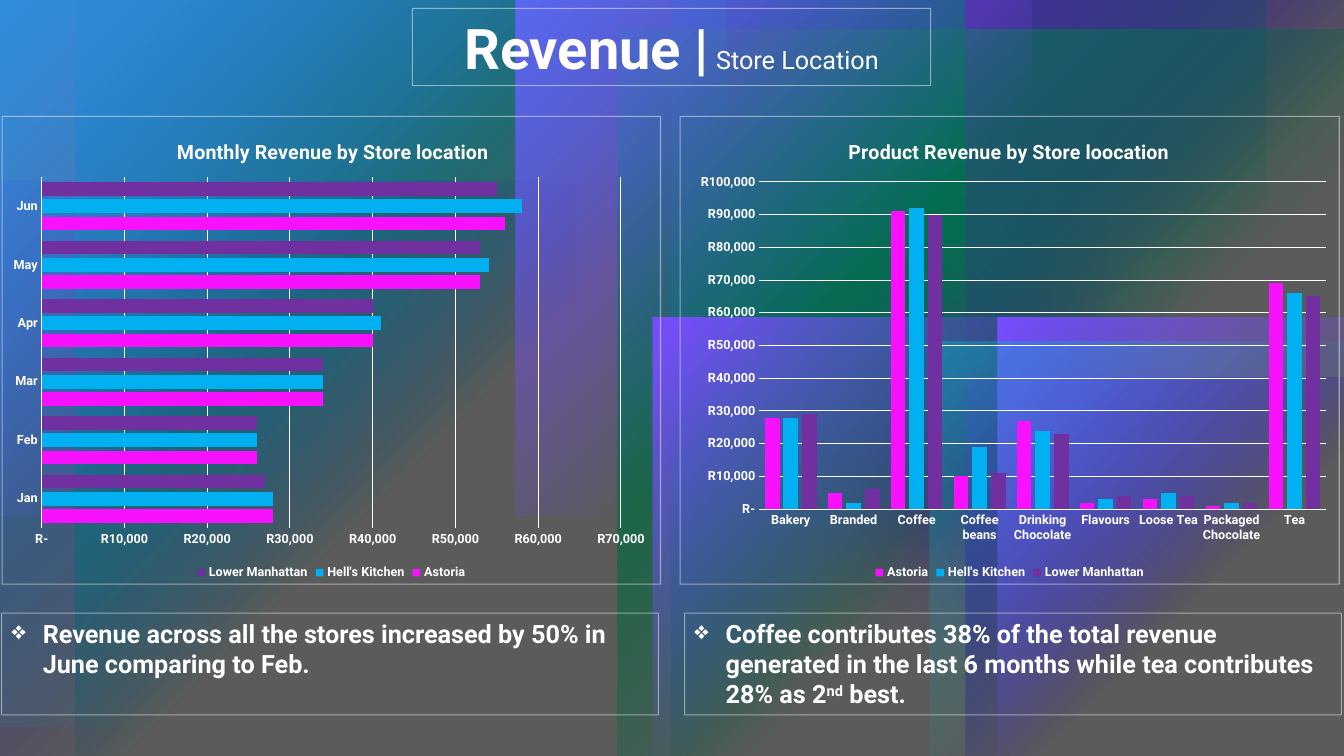
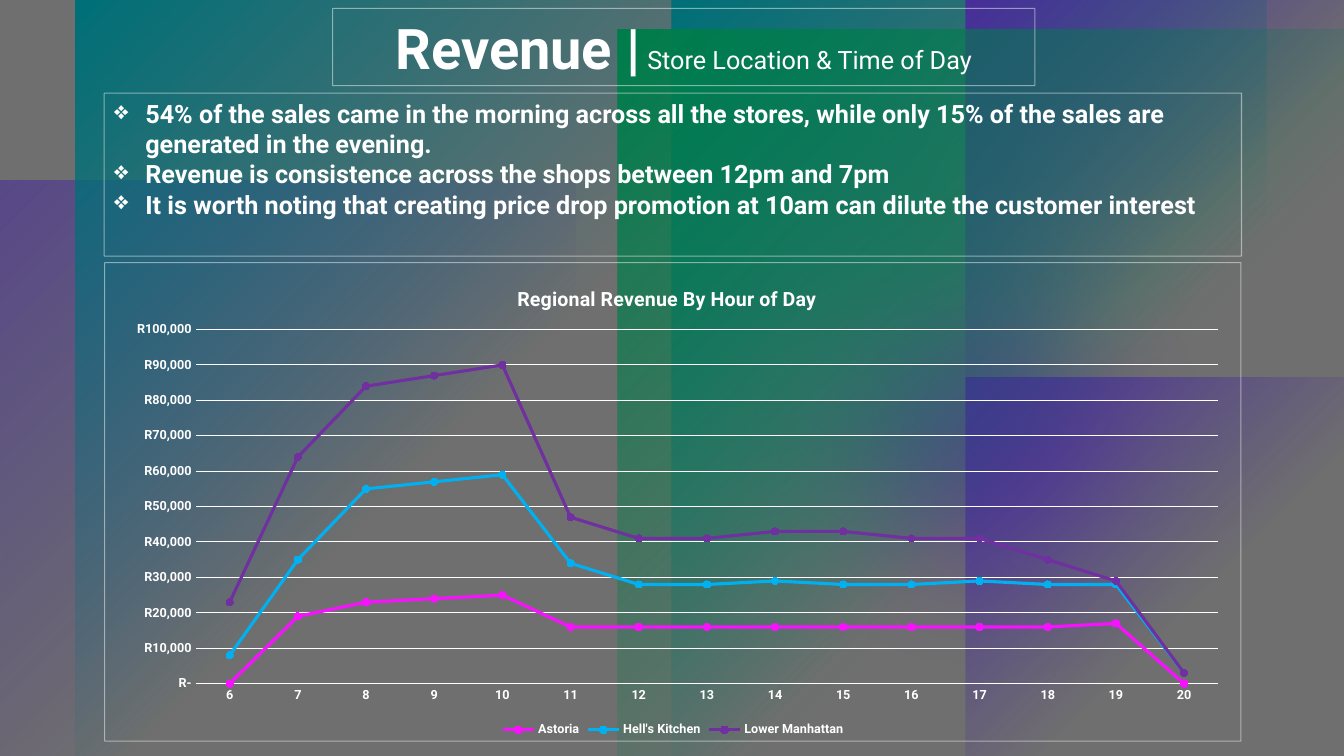
"""Build two store revenue slides with charts on a layered gradient backdrop."""
from dataclasses import dataclass

from pptx import Presentation
from pptx.chart.data import CategoryChartData as ChartData
from pptx.dml.color import RGBColor as RGB
from pptx.enum.chart import (
    XL_CHART_TYPE as CT, XL_LEGEND_POSITION as LEGEND,
    XL_MARKER_STYLE as MARKER, XL_TICK_MARK as TICK)
from pptx.enum.shapes import MSO_SHAPE as SHAPE
from pptx.enum.text import MSO_ANCHOR as ANCHOR, MSO_AUTO_SIZE as FIT, PP_ALIGN as ALIGN
from pptx.oxml import parse_xml
from pptx.oxml.ns import nsdecls, qn
from pptx.util import Inches, Pt

COLS, ROWS = 160, 90
STORES = ("Astoria", "Hell's Kitchen", "Lower Manhattan")


@dataclass(frozen=True)
class Theme:
    font: str = "Roboto"
    white: str = "FFFFFF"
    black: str = "000000"
    grey: str = "BABABA"
    violet: str = "794DFF"
    green: str = "00D17D"
    teal: str = "00BAC8"
    stores: tuple = ("F711FF", "00B0F0", "7030A0")
    heading: int = 40
    gap: int = 20
    body: int = 18
    chart_title: int = 14
    label: int = 9
    hairline: float = 0.75
    series_line: float = 2.25
    frame_alpha: int = 47
    money: str = '"R"#,##0;("R"#,##0);"R-"'


class Deck:
    """Hold the style and the current slide, and draw each kind of element."""

    def __init__(self, theme):
        self.t = theme
        self.prs = Presentation()
        self.prs.slide_width, self.prs.slide_height = Inches(13.333), Inches(7.5)
        self.slide = None

    def paint(self, fill, color):
        fill.solid()
        fill.fore_color.rgb = RGB.from_string(color)

    def add_slide(self, background):
        self.slide = self.prs.slides.add_slide(self.prs.slide_layouts[5])
        self.paint(self.slide.background.fill, background)

    def box(self, x, y, w, h):
        col, row = self.prs.slide_width / COLS, self.prs.slide_height / ROWS
        return [round(v) for v in (x * col, y * row, w * col, h * row)]

    def fade(self, element, percent):
        for color in element.iter(qn("a:srgbClr")):
            color.append(parse_xml(f'<a:alpha {nsdecls("a")} val="{percent * 1000}"/>'))

    def tint(self, kind, box, color, alpha):
        s = self.slide.shapes.add_shape(kind, *self.box(*box))
        s.shadow.inherit = False
        s.line.fill.background()
        self.paint(s.fill, color)
        self.fade(s.element.spPr, alpha)
        return s

    def glow(self, box, color, alpha=100):
        s = self.tint(SHAPE.RECTANGLE, box, color, alpha)
        stops = "".join(
            f'<a:gs pos="{pos}"><a:srgbClr val="{color}"><a:alpha val="{a * 1000}"/>'
            "</a:srgbClr></a:gs>" for pos, a in ((0, alpha), (60000, 0)))
        pr = s.element.spPr
        pr.replace(pr.find(qn("a:solidFill")), parse_xml(
            f'<a:gradFill {nsdecls("a")}><a:gsLst>{stops}</a:gsLst><a:path path="circle">'
            '<a:fillToRect r="100000" b="100000"/></a:path>'
            '<a:tileRect l="-100000" t="-100000"/></a:gradFill>'))
        return s

    def halo(self, box, color, alpha):
        s = self.tint(SHAPE.OVAL, box, color, alpha)
        s.element.spPr.find(qn("a:effectLst")).append(
            parse_xml(f'<a:softEdge {nsdecls("a")} rad="{Inches(1.39)}"/>'))
        return s

    def backdrop(self):
        t = self.t
        return [
            self.glow((0, 21.5, 68.5, 68.5), t.violet, 60),
            self.halo((83.75, 0, 56.65, 56.65), t.green, 96),
            self.halo((80.3, 16.2, 72.25, 72.25), t.violet, 60),
            *[self.glow((x, 0, 70.9, ROWS), t.teal) for x in (79.9, 9)],
            *[self.glow((115, y, 45, 45), t.violet) for y in (45, 0)],
            self.glow((73.5, 3.5, 86.5, 86.5), t.green),
            self.tint(SHAPE.RECTANGLE, (0, 0, COLS, ROWS), t.black, 40),
        ]

    def share_backdrop(self):
        tree = self.prs.slide_master.shapes.element
        for i, s in enumerate(self.backdrop()):
            tree.insert(2 + i, s.element)

    def frame(self, s):
        s.line.color.rgb = RGB.from_string(self.t.white)
        s.line.width = Pt(self.t.hairline)
        self.fade(s.element.spPr.find(qn("a:ln")), self.t.frame_alpha)

    def style(self, font, size, bold=True):
        font.name, font.size, font.bold = self.t.font, Pt(size), bold
        font.color.rgb = RGB.from_string(self.t.white)

    def title(self, heading, detail, box):
        s = self.slide.shapes.title
        self.slide.shapes.element.append(s.element)
        s.left, s.top, s.width, s.height = self.box(*box)
        self.frame(s)
        tf = s.text_frame
        tf.auto_size, tf.vertical_anchor = FIT.NONE, ANCHOR.MIDDLE
        p = tf.paragraphs[0]
        p.alignment, p.line_spacing = ALIGN.CENTER, 1.0
        for text, size in ((heading, self.t.heading), (" ", self.t.gap), (detail, self.t.body)):
            r = p.add_run()
            r.text = text
            self.style(r.font, size, text == heading)

    def notes(self, items, box):
        s = self.slide.shapes.add_textbox(*self.box(*box))
        self.frame(s)
        tf = s.text_frame
        tf.word_wrap = True
        indent = Inches(0.31)
        for i, item in enumerate(items):
            p = tf.add_paragraph() if i else tf.paragraphs[0]
            pr = p._p.get_or_add_pPr()
            pr.set("marL", str(indent))
            pr.set("indent", str(-indent))
            pr.append(parse_xml(f'<a:buChar {nsdecls("a")} char="❖"/>'))
            for j, text in enumerate(item):
                r = p.add_run()
                r.text = text
                self.style(r.font, self.t.body)
                if j == 1:
                    r.font._element.set("baseline", "30000")

    def place(self, parent, index, target="", **shares):
        modes = "".join(f'<c:{k}Mode val="edge"/>' for k in "xy")
        sizes = "".join(f'<c:{k} val="{v}"/>' for k, v in shares.items())
        for old in parent.findall(qn("c:layout")):
            parent.remove(old)
        parent.insert(index, parse_xml(
            f'<c:layout {nsdecls("c")}><c:manualLayout>{target}{modes}{sizes}'
            "</c:manualLayout></c:layout>"))

    def chart(self, kind, title, cats, rows, box, top, title_x, plot):
        t = self.t
        data = ChartData(number_format=t.money)
        data.categories = cats
        for name, row in zip(STORES, rows):
            data.add_series(name, [v if v is None else v * 1000 for v in row])
        chart = self.slide.shapes.add_chart(kind, *self.box(*box), data).chart
        self.style(chart.font, t.label)
        chart.has_title = chart.has_legend = True
        tf = chart.chart_title.text_frame
        tf.text = title
        self.style(tf.paragraphs[0].runs[0].font, t.chart_title)
        chart.legend.position = LEGEND.BOTTOM
        chart.legend.include_in_layout = False
        self.style(chart.legend.font, t.label)
        self.axes(chart, top)
        self.series(chart.plots[0], kind == CT.LINE_MARKERS_STACKED)
        self.chart_frame(chart.element)
        self.place(chart.chart_title._element, 1, x=title_x, y=0.04)
        self.place(chart.element.find(".//" + qn("c:plotArea")), 0,
                   '<c:layoutTarget val="inner"/>', **dict(zip("xywh", plot)))

    def axes(self, chart, top):
        cat, val = chart.category_axis, chart.value_axis
        for axis in (cat, val):
            axis.major_tick_mark = axis.minor_tick_mark = TICK.NONE
            axis.has_major_gridlines = axis is val
            self.style(axis.tick_labels.font, self.t.label)
        val.minimum_scale, val.maximum_scale, val.major_unit = 0, top, 10000
        val.tick_labels.number_format = self.t.money
        val.tick_labels.number_format_is_linked = False
        val.format.line.fill.background()
        for line in (cat.format.line, val.major_gridlines.format.line):
            line.color.rgb, line.width = RGB.from_string(self.t.white), Pt(self.t.hairline)

    def series(self, plot, is_line):
        plot.vary_by_categories = False
        if not is_line:
            plot.gap_width, plot.overlap = 75, -25
        for ser, color in zip(plot.series, self.t.stores):
            if not is_line:
                self.paint(ser.format.fill, color)
                continue
            ser.smooth = False
            ser.format.line.width = Pt(self.t.series_line)
            ser.marker.style, ser.marker.size = MARKER.CIRCLE, 5
            for fill in (ser.format.line.fill, ser.marker.format.fill,
                         ser.marker.format.line.fill):
                self.paint(fill, color)

    def chart_frame(self, root):
        pr = parse_xml(
            f'<c:spPr {nsdecls("c", "a")}><a:noFill/><a:ln w="{Pt(self.t.hairline)}">'
            f'<a:solidFill><a:srgbClr val="{self.t.white}"/></a:solidFill></a:ln></c:spPr>')
        self.fade(pr, self.t.frame_alpha)
        root.find(qn("c:txPr")).addprevious(pr)
        for blanks in root.iter(qn("c:dispBlanksAs")):
            blanks.set("val", "zero")


MONTHLY = ((28, 26, 34, 40, 53, 56), (28, 26, 34, 41, 54, 58), (27, 26, 34, 40, 53, 55))
PRODUCTS = ((28, 5, 91, 10, 27, 2, 3, 1, 69),
            (28, 2, 92, 19, 24, 3, 5, 2, 66),
            (29, 6, 90, 11, 23, 4, 4, 2, 65))
HOURLY = ((None, 19, 23, 24, 25, 16, 16, 16, 16, 16, 16, 16, 16, 17, None),
          (8, 16, 32, 33, 34, 18, 12, 12, 13, 12, 12, 13, 12, 11, 3),
          (15, 29, 29, 30, 31, 13, 13, 13, 14, 15, 13, 12, 7, 1, 0))


def location_slide(deck):
    t = deck.t
    deck.add_slide(t.white)
    deck.share_backdrop()
    deck.backdrop()
    for box in ((77.75, 37.8, 41.1, 52.2), (118.8, 37.8, 41.2, 52.2),
                (0, 0, 61.4, 61.4), (61.4, 0, 61.4, 61.4)):
        deck.glow(box, t.violet)
    deck.glow((0, 0, 86.5, 86.5), t.teal, 60)
    deck.glow((110.7, 40.7, 49.3, 49.3), t.teal, 40)
    deck.chart(CT.BAR_CLUSTERED, "Monthly Revenue by Store location",
               ("Jan", "Feb", "Mar", "Apr", "May", "Jun"), MONTHLY,
               (0.2, 13.8, 78.5, 55.8), 70000, 0.26, (0.06, 0.13, 0.88, 0.75))
    deck.chart(CT.COLUMN_CLUSTERED, "Product Revenue by Store loocation",
               ("Bakery", "Branded", "Coffee", "Coffee beans", "Drinking Chocolate",
                "Flavours", "Loose Tea", "Packaged Chocolate", "Tea"), PRODUCTS,
               (80.9, 13.8, 78.6, 55.8), 100000, 0.25, (0.12, 0.14, 0.86, 0.7))
    deck.title("Revenue |", "Store Location", (49.1, 1, 61.7, 9.2))
    deck.notes([("Revenue across all the stores increased by 50% in June comparing to Feb.",)],
               (0.2, 73, 78.2, 12.1))
    deck.notes([("Coffee contributes 38% of the total revenue generated in the last 6 months "
                 "while tea contributes 28% as 2", "nd", " best.")], (81.5, 73, 78.2, 12.1))


def hourly_slide(deck):
    deck.add_slide(deck.t.grey)
    deck.title("Revenue |", "Store Location & Time of Day", (39.6, 1, 83.6, 9.2))
    deck.notes([
        ("54% of the sales came in the morning across all the stores, while only 15% of the "
         "sales are generated in the evening.",),
        ("Revenue is consistence across the shops between 12pm and 7pm",),
        ("It is worth noting that creating price drop promotion at 10am can dilute the "
         "customer interest",),
    ], (12.4, 11.1, 135.4, 19.4))
    deck.chart(CT.LINE_MARKERS_STACKED, "Regional Revenue By Hour of Day",
               [str(hour) for hour in range(6, 21)], HOURLY,
               (12.4, 31.2, 135.4, 57.1), 100000, 0.36, (0.08, 0.14, 0.9, 0.74))


def main():
    deck = Deck(Theme())
    location_slide(deck)
    hourly_slide(deck)
    deck.prs.save("out.pptx")


if __name__ == "__main__":
    main()
